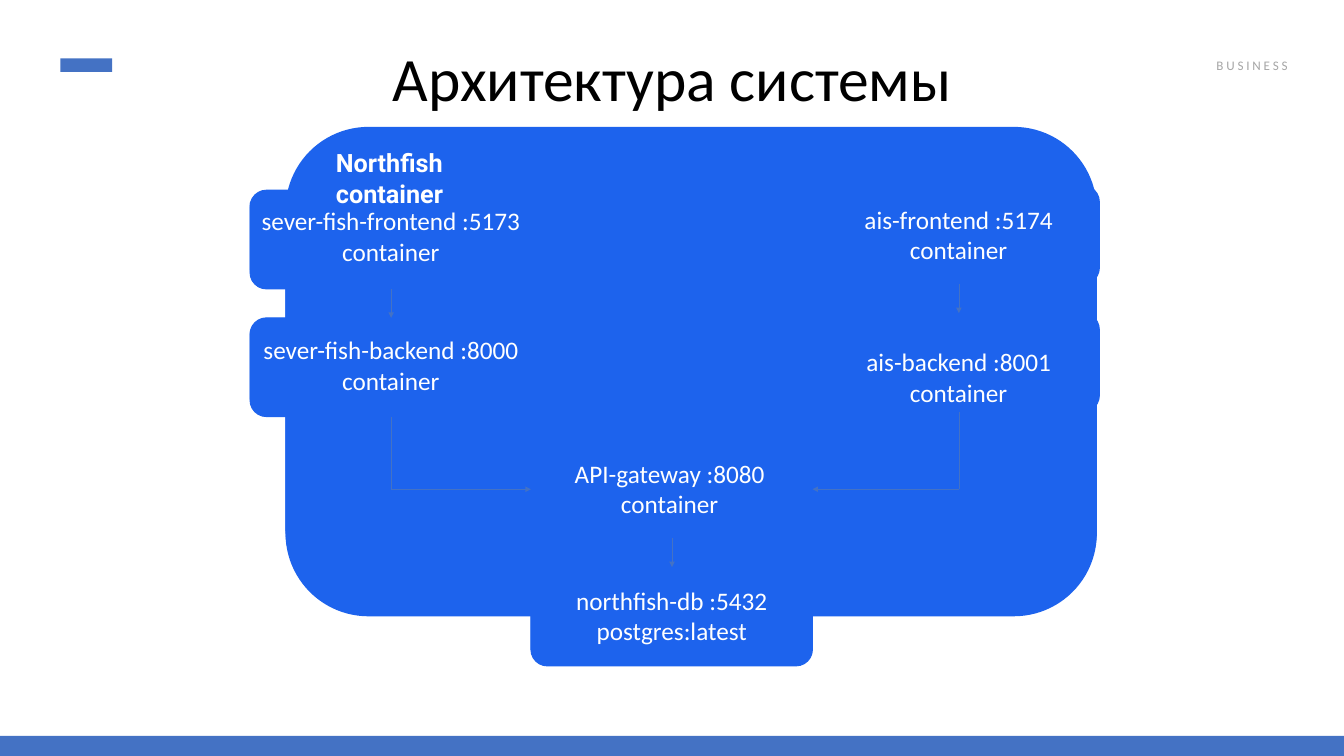
from lxml.etree import SubElement
from pptx import Presentation
from pptx.dml.color import RGBColor
from pptx.enum.shapes import MSO_CONNECTOR, MSO_SHAPE
from pptx.enum.text import MSO_ANCHOR, PP_ALIGN
from pptx.oxml.ns import qn
from pptx.util import Inches, Pt

HEX = {"box": "1D63ED", "bar": "4472C4", "grey": "A6A6A6",
       "white": "FFFFFF", "black": "000000"}
BOX_W, BOX_H, TEXT_H = 4.19, 1.47, 1.01
LEFT, MID, RIGHT = 3.72, 7.9, 12.17

# Text styles
LABEL = {"size": Pt(27), "name": "Calibri"}
TITLE = {"size": Pt(66), "name": "Calibri"}
HEAD = {"size": Pt(27), "name": "Roboto", "bold": True}
TAG = {"size": Pt(14), "name": "Calibri"}

# Box left and top, text left, top and width, lines, wrap
NODES = [
    (MID, 8.44, MID, 8.66, BOX_W, "northfish-db :5432\vpostgres:latest", True),
    (LEFT, 2.83, LEFT, 3.01, BOX_W, "sever-fish-frontend :5173 container", True),
    (RIGHT, 2.76, RIGHT, 2.99, BOX_W, "ais-frontend :5174 container", True),
    (LEFT, 4.73, LEFT, 4.93, BOX_W, "sever-fish-backend :8000 container", True),
    (RIGHT, 4.66, 12.74, 5.11, 3.05, "ais-backend :8001\ncontainer", False),
    (MID, 6.54, 8.33, 6.77, 3.27, "API-gateway :8080 container", True),
]


def color(key):
    return RGBColor.from_string(HEX[key])


def write(shape, text, style, ink, align=PP_ALIGN.CENTER, wrap=True):
    frame = shape.text_frame
    frame.text = text
    frame.word_wrap = wrap
    frame.vertical_anchor = MSO_ANCHOR.TOP
    for para in frame.paragraphs:
        para.alignment = align
        for run in para.runs:
            run.font.color.rgb = color(ink)
            for key, value in style.items():
                setattr(run.font, key, value)


def add_text(shapes, at, text, style, ink, align):
    box = shapes.add_textbox(*map(Inches, at))
    write(box, text, style, ink, align)
    return box


def add_box(shapes, kind, at, fill=None, line=None, width=1):
    shape = shapes.add_shape(kind, *map(Inches, at))
    shape.shadow.inherit = False
    if fill:
        shape.fill.solid()
        shape.fill.fore_color.rgb = color(fill)
    else:
        shape.fill.background()
    if line:
        shape.line.color.rgb = color(line)
        shape.line.width = Pt(width)
    else:
        shape.line.fill.background()
    return shape


def add_node(shapes, left, top, text_x, text_y, text_w, text, wrap):
    parts = shapes.add_group_shape().shapes
    add_box(parts, MSO_SHAPE.ROUNDED_RECTANGLE, (left, top, BOX_W, BOX_H),
            "box", "box")
    label = add_box(parts, MSO_SHAPE.RECTANGLE,
                    (text_x, text_y, text_w, TEXT_H), "box", "box", 0.75)
    write(label, text, LABEL, "white", wrap=wrap)


def add_link(shapes, start, end, arrow=True):
    link = shapes.add_connector(MSO_CONNECTOR.STRAIGHT,
                                *map(Inches, (*start, *end)))
    link.line.color.rgb = color("bar")
    link.line.width = Pt(0.5)
    if arrow:
        SubElement(link.line._get_or_add_ln(), qn("a:tailEnd"), type="triangle")
    SubElement(link._element.spPr, qn("a:effectLst"))


def main():
    deck = Presentation()
    deck.slide_width, deck.slide_height = Inches(20), Inches(11.25)
    shapes = deck.slides.add_slide(deck.slide_layouts[6]).shapes

    # Page frame: tag, bottom bar and logo block
    tag = add_text(shapes, (16.82, 0.8, 2.44, 0.34), "BUSINESS", TAG, "grey",
                   PP_ALIGN.RIGHT)
    tag.text_frame.paragraphs[0].runs[0]._r.get_or_add_rPr().set("spc", "300")
    add_box(shapes, MSO_SHAPE.RECTANGLE, (0, 10.95, 20, 0.3), "bar")
    add_box(shapes, MSO_SHAPE.RECTANGLE, (0.9, 0.87, 0.77, 0.2), "bar")

    # Outer container and its outline
    for top, fill in ((1.97, "box"), (1.93, None)):
        add_box(shapes, MSO_SHAPE.ROUNDED_RECTANGLE, (4.29, top, 11.99, 7.16),
                fill, "box", 6)

    # Services
    for node in NODES:
        add_node(shapes, *node)
    add_text(shapes, (4.9, 2.15, 2.18, 1.46), "Northfish container", HEAD,
             "white", PP_ALIGN.LEFT)

    # Links: frontend to backend, then backend to gateway
    for mid, top, side in ((5.82, 4.3, MID), (14.27, 4.23, MID + BOX_W)):
        low = top + 1.9
        add_link(shapes, (mid, top), (mid, top + 0.43))
        add_link(shapes, (mid, 7.28), (side, 7.28))
        add_link(shapes, (mid, low), (mid, 7.28), arrow=False)
    add_link(shapes, (10, 8.01), (10, 8.44))

    # Title
    add_text(shapes, (5.1, 0.54, 9.81, 1.21), "Архитектура системы", TITLE,
             "black", PP_ALIGN.CENTER)
    deck.save("out.pptx")


if __name__ == "__main__":
    main()
